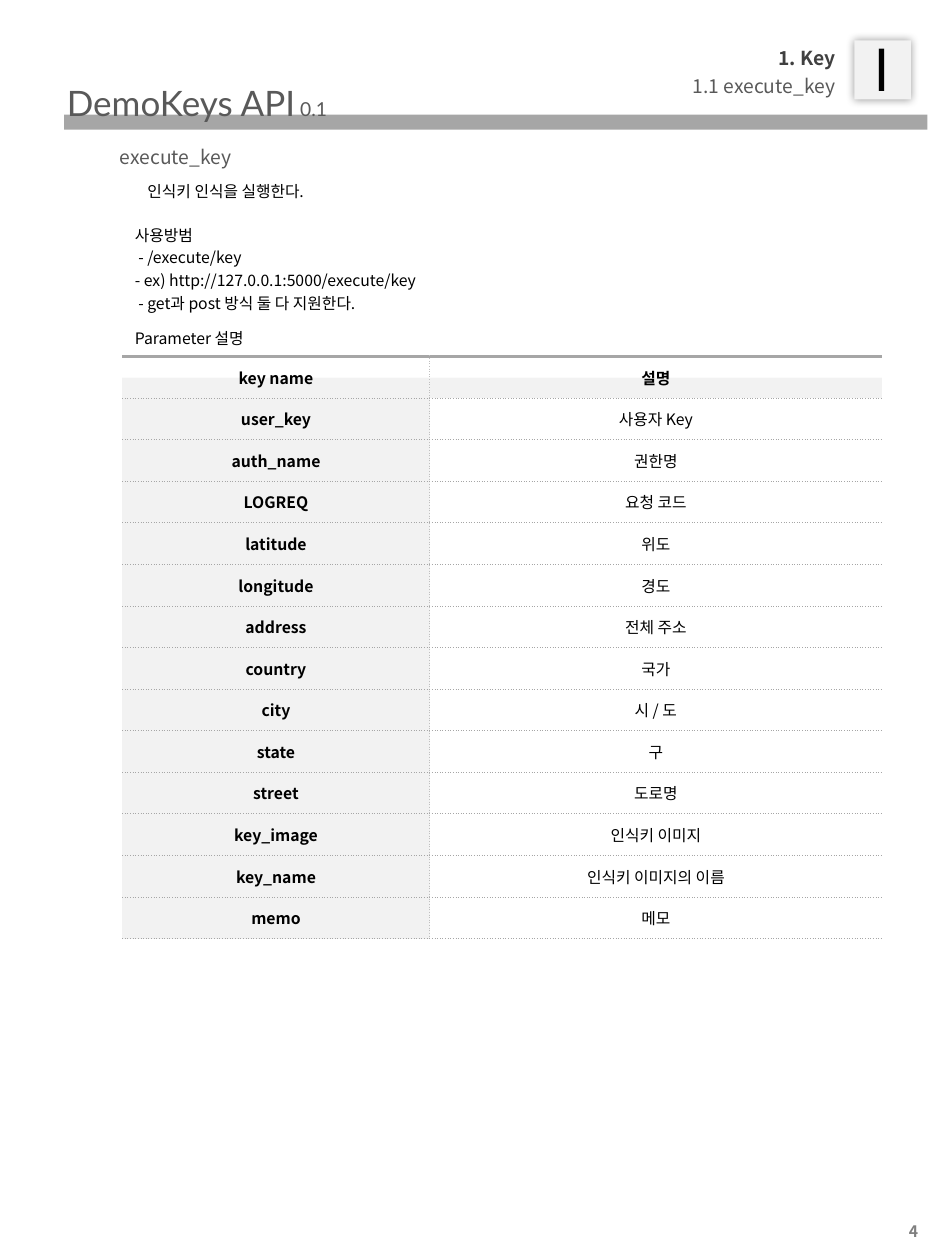
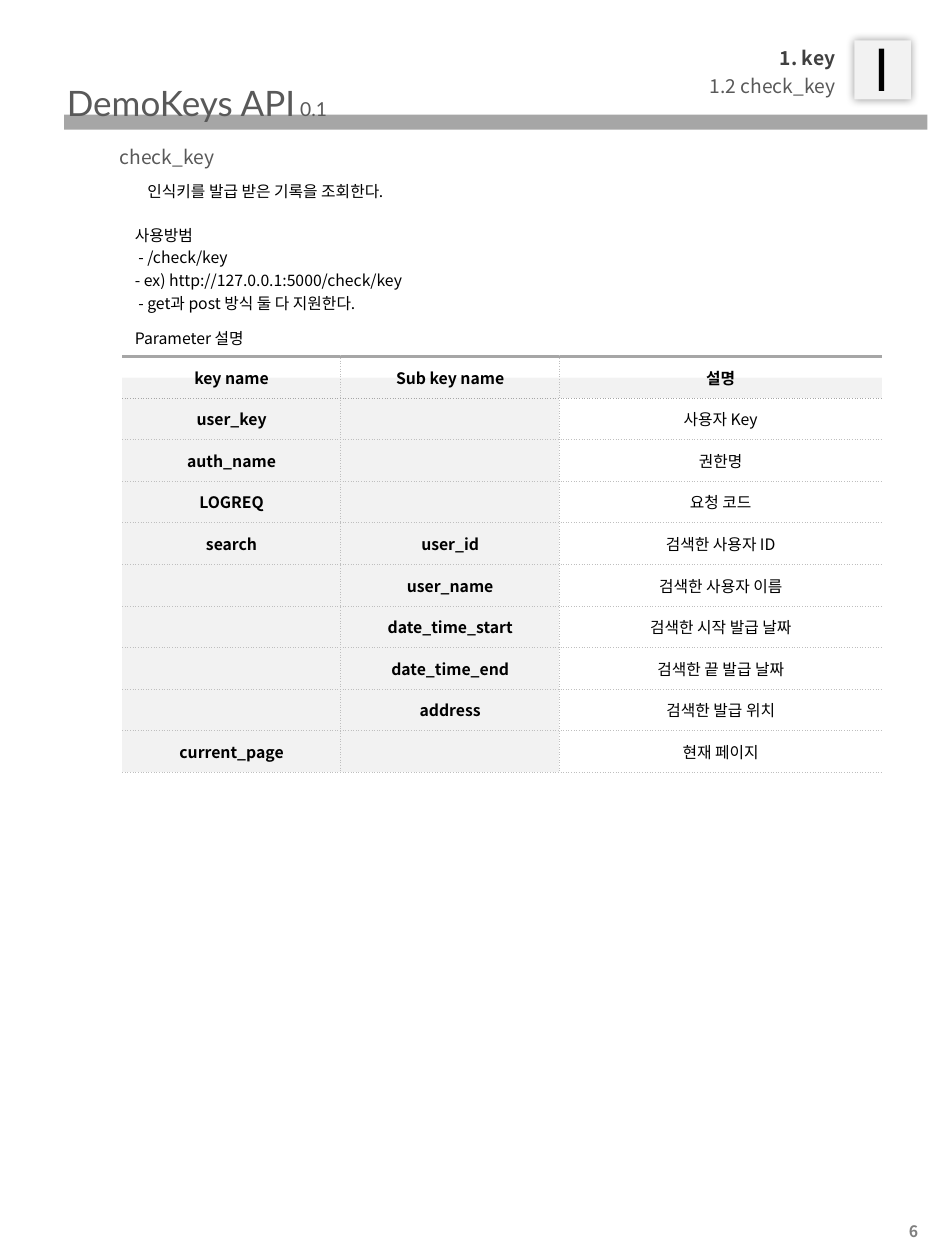
from dataclasses import dataclass

from lxml import etree
from pptx import Presentation
from pptx import util as u
from pptx.dml.color import RGBColor
from pptx.enum import shapes, text
from pptx.oxml import ns

# Page grid: 75 columns by 100 rows of square units
PAGE_WIDTH, PAGE_HEIGHT = u.Inches(7.5), u.Inches(10)
COLUMNS, ROWS = 75, 100

BLACK = RGBColor(0x00, 0x00, 0x00)
WHITE = RGBColor(0xFF, 0xFF, 0xFF)
CHARCOAL = RGBColor(0x40, 0x40, 0x40)
SLATE = RGBColor(0x59, 0x59, 0x59)
NUMBER_GRAY = RGBColor(0x7F, 0x7F, 0x7F)
BAND_GRAY = RGBColor(0xA6, 0xA6, 0xA6)
DOT_GRAY = RGBColor(0xBF, 0xBF, 0xBF)
PALE = RGBColor(0xF2, 0xF2, 0xF2)

KOREAN, LATIN = "Noto Sans CJK KR", "Lato"
LEFT, RIGHT = text.PP_ALIGN.LEFT, text.PP_ALIGN.RIGHT
CENTER, JUSTIFY = text.PP_ALIGN.CENTER, text.PP_ALIGN.JUSTIFY
MIDDLE = text.MSO_ANCHOR.MIDDLE

BODY = dict(size=u.Pt(9), color=BLACK)
HEADING = dict(size=u.Pt(11), color=SLATE)
PADDED = dict(margin_left=u.Inches(0.09), margin_right=u.Inches(0.09),
              margin_top=u.Inches(0.05), margin_bottom=u.Inches(0.05))
FLUSH = dict(margin_left=0, margin_right=0, margin_top=0, margin_bottom=0)
ROW_HEIGHT = 3.3


@dataclass
class Box:
    """A region measured in grid columns and rows."""
    left: float
    top: float
    width: float
    height: float

    def inner(self, left, top, width, height):
        return Box(self.left + left, self.top + top, width, height)

    def emu(self):
        column, row = PAGE_WIDTH / COLUMNS, PAGE_HEIGHT / ROWS
        return (round(self.left * column), round(self.top * row),
                round(self.width * column), round(self.height * row))


PAGE = Box(0, 0, COLUMNS, ROWS)


def apply(target, values):
    for name, value in values.items():
        setattr(target, name, value)


def add_run(paragraph, words, size, color, bold=False, face=KOREAN):
    run = paragraph.add_run()
    run.text = words
    apply(run.font, dict(name=face, size=size, bold=bold))
    run.font.color.rgb = color
    etree.SubElement(run.font._element, ns.qn("a:ea"), typeface=face)


def write(frame, lines, align=LEFT, spacing=None, **frame_format):
    """Each line is a list of (words, style) runs."""
    defaults = dict(word_wrap=True, vertical_anchor=text.MSO_ANCHOR.TOP,
                    auto_size=text.MSO_AUTO_SIZE.SHAPE_TO_FIT_TEXT)
    apply(frame, {**defaults, **frame_format})
    for index, line in enumerate(lines):
        paragraph = frame.add_paragraph() if index else frame.paragraphs[0]
        apply(paragraph, dict(alignment=align, line_spacing=spacing))
        for words, style in line:
            add_run(paragraph, words, **style)


def add_words(slide, box, lines, **layout):
    write(slide.shapes.add_textbox(*box.emu()).text_frame, lines, **layout)


def add_block(slide, box, fill=None, kind=shapes.MSO_SHAPE.RECTANGLE):
    block = slide.shapes.add_shape(kind, *box.emu())
    block.shadow.inherit = False
    block.line.fill.background()
    if fill is None:
        block.fill.background()
    else:
        block.fill.solid()
        block.fill.fore_color.rgb = fill
    return block


def add_glow(block):
    effects = block._element.spPr.find(ns.qn("a:effectLst"))
    shadow = etree.SubElement(effects, ns.qn("a:outerShdw"), blurRad=str(u.Pt(5)),
                              dist="0", algn="ctr", rotWithShape="0")
    tint = etree.SubElement(shadow, ns.qn("a:srgbClr"), val=str(BLACK))
    etree.SubElement(tint, ns.qn("a:alpha"), val="40000")


def add_header(slide, box, chapter, section):
    # Band and document title
    add_block(slide, box.inner(5.1, 9.1, 68.5, 1.2), BAND_GRAY)
    title = [("DemoKeys API", dict(size=u.Pt(20), color=SLATE, face=LATIN)),
             (" 0.1", dict(HEADING, face=LATIN))]
    add_words(slide, box.inner(4.4, 6, 28.3, 4.3), [title], **PADDED)
    # Chapter tile
    add_glow(add_block(slide, box.inner(67.8, 3.2, 4.5, 4.7), PALE))
    add_words(slide, box.inner(68.4, 2.2, 3.7, 6.5),
              [[("I", dict(size=u.Pt(33), color=BLACK))]], **PADDED)
    # Chapter and section names
    names = [[(chapter, dict(size=u.Pt(11), color=CHARCOAL, bold=True))],
             [(section, HEADING)]]
    add_words(slide, box.inner(23.3, 3.3, 43, 4.4), names, align=RIGHT,
              spacing=1.2, vertical_anchor=MIDDLE, **FLUSH)


def add_page_number(slide, box, number):
    style = dict(size=u.Pt(9), color=NUMBER_GRAY, bold=True)
    add_words(slide, box.inner(70.6, 96.5, 3.8, 2.5), [[(str(number), style)]],
              align=CENTER, vertical_anchor=MIDDLE, word_wrap=False, **PADDED)


def add_usage(slide, box, command, route, summary):
    heading = add_block(slide, box.inner(0, 0, 47.7, 2.2),
                        kind=shapes.MSO_SHAPE.ROUNDED_RECTANGLE)
    write(heading.text_frame, [[(command, HEADING)]], spacing=1.2,
          vertical_anchor=MIDDLE, **FLUSH)
    steps = ["사용방범", f" - {route}", f"- ex) http://127.0.0.1:5000{route}",
             " - get과 post 방식 둘 다 지원한다."]
    # Paragraph groups: left, top, height, lines
    for left, top, height, lines in [(2.3, 2.9, 1.6, [summary]),
                                     (1.3, 6.4, 7.3, steps),
                                     (1.3, 14.6, 1.6, ["Parameter 설명"])]:
        add_words(slide, box.inner(left, top, 57.1, height),
                  [[(line, BODY)] for line in lines],
                  align=JUSTIFY, spacing=1.2, **FLUSH)


def set_borders(cell, borders):
    """Borders are (color, points, dash), or None, by side L, R, T, B."""
    properties = cell._tc.get_or_add_tcPr()
    for position, (side, border) in enumerate(borders.items()):
        line = etree.Element(ns.qn(f"a:ln{side}"))
        properties.insert(position, line)
        if border is None:
            etree.SubElement(line, ns.qn("a:noFill"))
            continue
        color, points, dash = border
        line.set("w", str(u.Pt(points)))
        fill = etree.SubElement(line, ns.qn("a:solidFill"))
        etree.SubElement(fill, ns.qn("a:srgbClr"), val=str(color))
        etree.SubElement(line, ns.qn("a:prstDash"), val=dash)


def fill_cell(cell, is_header, is_key):
    if is_header:
        cell.fill.gradient()
        cell.fill.gradient_angle = 270
        stops = [(0.5, WHITE), (0.51, PALE)]
        for stop, (position, color) in zip(cell.fill.gradient_stops, stops):
            stop.position = position
            stop.color.rgb = color
    else:
        cell.fill.solid()
        cell.fill.fore_color.rgb = PALE if is_key else WHITE


def add_parameters(slide, box, widths, rows, rule_color):
    area = box.inner(0, 0, sum(widths), ROW_HEIGHT * len(rows))
    table = slide.shapes.add_table(len(rows), len(widths), *area.emu()).table
    apply(table, dict(first_row=False, horz_banding=False))
    for column, width in zip(table.columns, widths):
        column.width = round(width * PAGE_WIDTH / COLUMNS)
    for row in table.rows:
        row.height = round(ROW_HEIGHT * PAGE_HEIGHT / ROWS)

    header_rule = (BAND_GRAY, 0.5, "sysDot")
    row_rule = (rule_color, 0.5, "sysDot")
    divider = (DOT_GRAY, 0.5, "sysDot")
    tops = [(BAND_GRAY, 1.5, "solid"), header_rule]
    last = len(widths) - 1
    for r, row in enumerate(rows):
        for c, words in enumerate(row):
            cell = table.cell(r, c)
            apply(cell, dict(FLUSH, vertical_anchor=MIDDLE))
            paragraph = cell.text_frame.paragraphs[0]
            paragraph.alignment = CENTER
            if words:
                add_run(paragraph, words, bold=r == 0 or c < last, **BODY)
            else:
                etree.SubElement(paragraph._p, ns.qn("a:endParaRPr"), sz="900")
            fill_cell(cell, is_header=r == 0, is_key=c < last)
            set_borders(cell, {"L": divider if c else None,
                               "R": divider if c < last else None,
                               "T": tops[r] if r < 2 else row_rule,
                               "B": row_rule if r else header_rule})


def add_command_page(deck, number, chapter, section, command, route, summary,
                     widths, rows, rule_color):
    slide = deck.slides.add_slide(deck.slide_layouts[6])
    add_header(slide, PAGE, chapter, section)
    add_page_number(slide, PAGE, number)
    add_usage(slide, PAGE.inner(9.4, 11.2, 60, 17), command, route, summary)
    add_parameters(slide, PAGE.inner(9.7, 28.3, 60.3, 47), widths, rows, rule_color)


COMMON_ROWS = [("user_key", "사용자 Key"), ("auth_name", "권한명"),
               ("LOGREQ", "요청 코드")]

EXECUTE_ROWS = [("key name", "설명"), *COMMON_ROWS,
                ("latitude", "위도"), ("longitude", "경도"),
                ("address", "전체 주소"), ("country", "국가"),
                ("city", "시 / 도"), ("state", "구"), ("street", "도로명"),
                ("key_image", "인식키 이미지"),
                ("key_name", "인식키 이미지의 이름"), ("memo", "메모")]

CHECK_ROWS = [("key name", "Sub key name", "설명"),
              *[(key, "", meaning) for key, meaning in COMMON_ROWS],
              ("search", "user_id", "검색한 사용자 ID"),
              ("", "user_name", "검색한 사용자 이름"),
              ("", "date_time_start", "검색한 시작 발급 날짜"),
              ("", "date_time_end", "검색한 끝 발급 날짜"),
              ("", "address", "검색한 발급 위치"),
              ("current_page", "", "현재 페이지")]


def main():
    deck = Presentation()
    apply(deck, dict(slide_width=PAGE_WIDTH, slide_height=PAGE_HEIGHT))
    add_command_page(deck, 4, "1. Key", "1.1 execute_key", "execute_key",
                     "/execute/key", "인식키 인식을 실행한다.",
                     [24.4, 35.9], EXECUTE_ROWS, BAND_GRAY)
    add_command_page(deck, 6, "1. key", "1.2 check_key", "check_key",
                     "/check/key", "인식키를 발급 받은 기록을 조회한다.",
                     [17.35, 17.35, 25.6], CHECK_ROWS, DOT_GRAY)
    deck.save("out.pptx")


if __name__ == "__main__":
    main()
